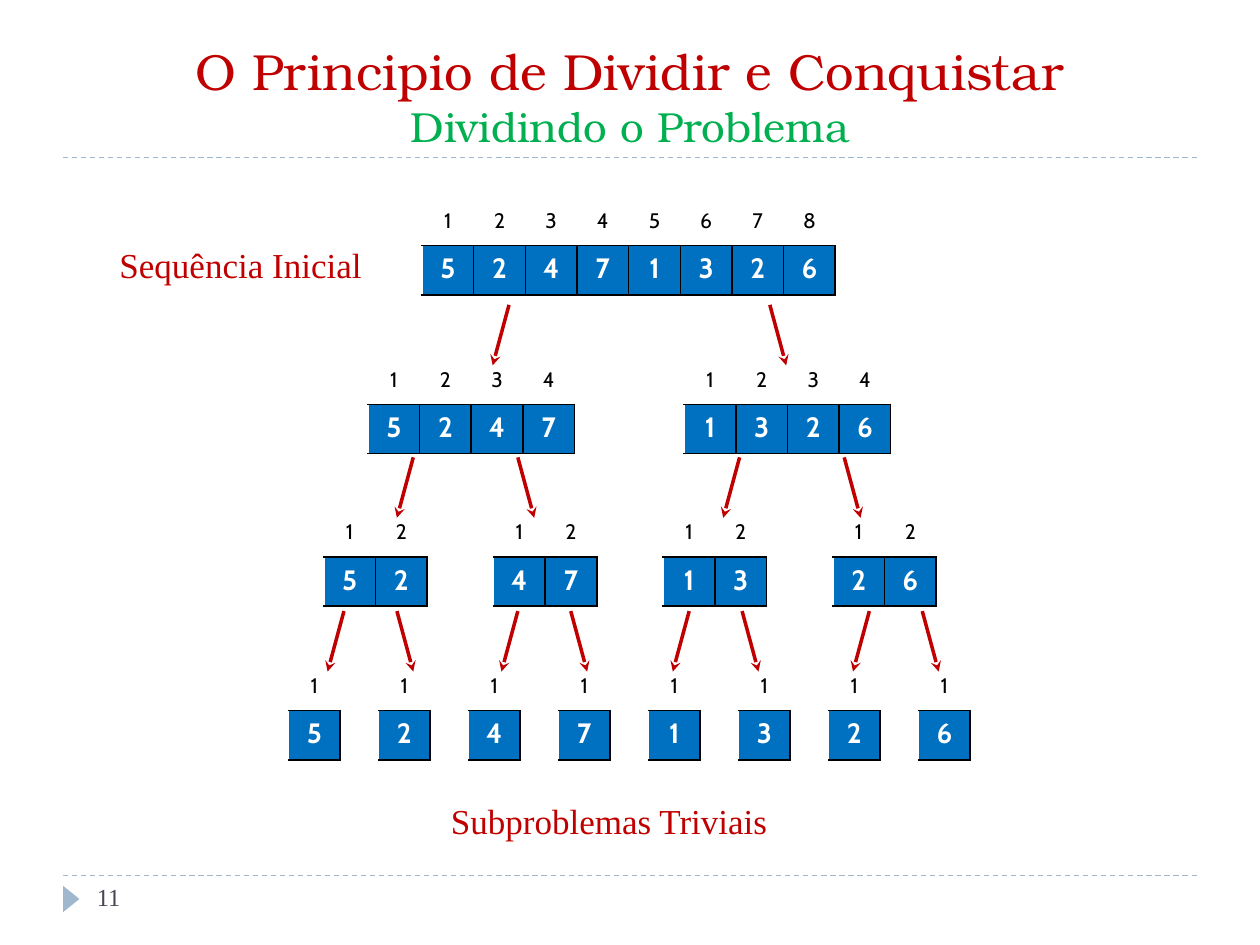
from lxml import etree
from pptx import Presentation
from pptx.dml.color import RGBColor
from pptx.enum.dml import MSO_LINE
from pptx.enum.shapes import MSO_CONNECTOR, MSO_SHAPE
from pptx.enum.text import MSO_ANCHOR, PP_ALIGN
from pptx.oxml import parse_xml
from pptx.oxml.ns import nsdecls, qn
from pptx.util import Inches, Pt

RED, GREEN, BLUE, PALE = "C00000", "00B050", "0070C0", "9FB8CD"
SERIF = "Times New Roman"
CELL, TOP_ROW, LOW_ROW = 0.41, 0.35, 0.39
VALUES = "52471326"
# parts in the level, left of first table, left of last table, top
LEVELS = [(1, 3.35, 3.35, 1.6), (2, 2.92, 5.43, 2.86),
          (4, 2.57, 6.61, 4.07), (8, 2.29, 7.29, 5.29)]
# tips of the left arrows, gap to the right tip, height of the tips
FORKS = [([3.91], 2.33, 2.9), ([3.15, 5.74], 1.09, 4.11),
         ([2.6, 3.98, 5.34, 6.77], 0.68, 5.33)]


def color(code):
    return RGBColor.from_string(code)


def style(font, size, name, code, bold=False):
    font.size, font.name, font.bold = Pt(size), name, bold
    font.color.rgb = color(code)


def add_box(slide, x, y, w, h):
    frame = slide.shapes.add_textbox(
        Inches(x), Inches(y), Inches(w), Inches(h)).text_frame
    frame.word_wrap = True
    return frame


def add_label(slide, text, x, y, w, h, size, code):
    para = add_box(slide, x, y, w, h).paragraphs[0]
    para.text = text
    style(para.font, size, SERIF, code)


def add_line(slide, x1, y1, x2, y2, code, width):
    line = slide.shapes.add_connector(
        MSO_CONNECTOR.STRAIGHT, Inches(x1), Inches(y1), Inches(x2), Inches(y2))
    line.line.color.rgb = color(code)
    line.line.width = Pt(width)
    etree.SubElement(line._element.spPr, qn("a:effectLst"))
    return line


def add_rule(slide, x, y, w):
    rule = add_line(slide, x, y, x + w, y, PALE, 0.75)
    rule.line.dash_style = MSO_LINE.DASH


def add_title(slide, x, y, w, h):
    frame = add_box(slide, x, y, w, h)
    frame.vertical_anchor = MSO_ANCHOR.BOTTOM
    para = frame.paragraphs[0]
    para.alignment = PP_ALIGN.CENTER
    main = para.add_run()
    main.text = "O Principio de Dividir e Conquistar"
    style(main.font, 29, "TeX Gyre Bonum", RED)
    para.add_line_break()
    sub = para.add_run()
    sub.text = "Dividindo o Problema"
    style(sub.font, 24, "TeX Gyre Bonum", GREEN)
    add_rule(slide, x, y + h, w)


def add_footer(slide, x, y, w):
    add_rule(slide, x, y, w)
    mark = slide.shapes.add_shape(
        MSO_SHAPE.ISOSCELES_TRIANGLE, Inches(x - 0.04), Inches(y + 0.12),
        Inches(0.21), Inches(0.13))
    mark.rotation = 90
    mark.shadow.inherit = False
    mark.fill.solid()
    mark.fill.fore_color.rgb = color(PALE)
    mark.line.fill.background()
    add_label(slide, "11", x + 0.17, y, 2.17, 0.4, 14, "464653")


def add_borders(cell, sides):
    """Draw thin black lines on the given sides, named L, R, T or B."""
    props = cell._tc.get_or_add_tcPr()
    for spot, side in enumerate(sides):
        props.insert(spot, parse_xml(
            f'<a:ln{side} {nsdecls("a")} w="12700"><a:solidFill>'
            f'<a:srgbClr val="000000"/></a:solidFill></a:ln{side}>'))


def fill_cell(cell, text, size, ink, back, bold):
    cell.margin_left = cell.margin_right = 0
    cell.fill.solid()
    cell.fill.fore_color.rgb = color(back)
    para = cell.text_frame.paragraphs[0]
    para.text = text
    para.alignment = PP_ALIGN.CENTER
    style(para.font, size, "Cabin", ink, bold)


def add_array(slide, values, x, y):
    """Place one sequence, with its positions above the values."""
    count = len(values)
    table = slide.shapes.add_table(
        2, count, Inches(x), Inches(y), Inches(CELL * count),
        Inches(TOP_ROW + LOW_ROW)).table
    table.first_row = table.horz_banding = False
    table.rows[0].height = Inches(TOP_ROW)
    table.rows[1].height = Inches(LOW_ROW)
    for col, value in enumerate(values):
        table.columns[col].width = Inches(CELL)
        fill_cell(table.cell(0, col), str(col + 1), 12, "000000", "FFFFFF", False)
        fill_cell(table.cell(1, col), value, 16, "FFFFFF", BLUE, True)
        add_borders(table.cell(1, col), "LRTB" if col else "RTB")


def add_level(slide, parts, first, last, y):
    size = len(VALUES) // parts
    step = (last - first) / max(parts - 1, 1)
    for part in range(parts):
        start = part * size
        add_array(slide, VALUES[start:start + size], first + part * step, y)


def add_arrow(slide, x, y, lean):
    """Draw an arrow whose tip is at x, y and whose tail leans sideways."""
    arrow = add_line(slide, x, y, x + lean, y - 0.48, RED, 2)
    head = etree.SubElement(arrow.line._get_or_add_ln(), qn("a:headEnd"))
    head.set("type", "stealth")


def add_forks(slide, tips, gap, y):
    for tip in tips:
        add_arrow(slide, tip, y, 0.13)
        add_arrow(slide, tip + gap, y, -0.13)


def main():
    deck = Presentation()
    deck.slide_width, deck.slide_height = Inches(10), Inches(7.5)
    slide = deck.slides.add_slide(deck.slide_layouts[6])
    add_title(slide, 0.5, 0.25, 9, 1)
    add_footer(slide, 0.5, 6.95, 9)
    for level in LEVELS:
        add_level(slide, *level)
    add_label(slide, "Subproblemas Triviais", 3.48, 6.3, 2.73, 0.44, 20, RED)
    add_label(slide, "Sequência Inicial", 0.85, 1.88, 2.14, 0.44, 20, RED)
    for fork in FORKS:
        add_forks(slide, *fork)
    deck.save("out.pptx")


if __name__ == "__main__":
    main()
